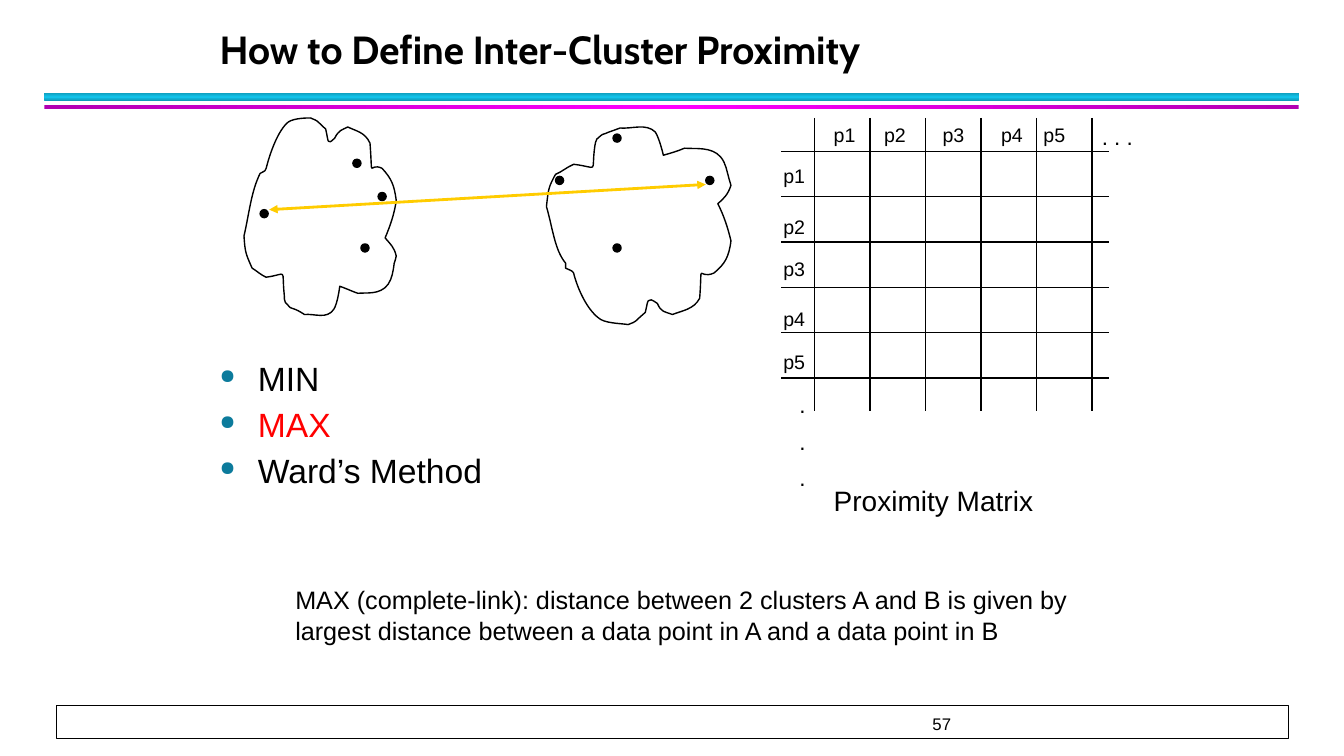
from dataclasses import dataclass

from lxml import etree
from pptx import Presentation
from pptx.dml.color import RGBColor
from pptx.enum.shapes import MSO_CONNECTOR as Connector, MSO_SHAPE as Shape
from pptx.enum.text import MSO_ANCHOR as Anchor
from pptx.oxml.ns import qn
from pptx.util import Pt

PX = 9144


@dataclass(frozen=True)
class Theme:
    """Colours, fonts and type sizes of the slide."""
    ink: str = "000000"
    paper: str = "FFFFFF"
    accent: str = "FF0000"
    arrow: str = "FFCC00"
    bullet: str = "0C7B9C"
    blue_band: tuple = ("0E9BBA", "12C2E9", "0E9BBA")
    pink_band: tuple = ("B200B2", "FF00FF", "B200B2")
    heading_font: str = "Cabin"
    body_font: str = "Arial"
    title: int = 28
    bullets: int = 24
    caption: int = 20
    note: int = 18
    dots: int = 16
    label: int = 14
    footer: int = 12


THEME = Theme()

LEFT_START = (16, 55)
LEFT_CURVES = (
    (7, 73, 5, 96, 0, 117), (1, 134, 2, 135, 8, 149), (13, 152, 17, 156, 22, 158),
    (44, 155, 37, 148, 40, 176), (40, 179, 40, 181, 41, 183), (48, 190, 43, 187, 51, 190),
    (54, 191, 60, 195, 60, 195), (70, 194, 82, 200, 89, 190), (93, 184, 95, 167, 95, 167),
    (101, 169, 107, 172, 113, 174), (121, 173, 135, 176, 143, 165), (147, 159, 148, 152, 149, 144),
    (150, 142, 151, 137, 151, 137), (149, 128, 145, 125, 140, 119), (145, 107, 149, 96, 151, 82),
    (149, 66, 146, 60, 137, 50), (123, 43, 128, 65, 125, 25), (120, 14, 111, 13, 103, 9),
    (97, 12, 94, 12, 90, 20), (82, 28, 84, 23, 81, 11), (70, 1, 75, 4, 66, 0),
    (63, 0, 50, 0, 44, 4), (34, 12, 26, 34, 22, 50), (21, 54, 18, 53, 16, 55),
)
LEFT_POINTS = ((116, 125), (108, 41), (16, 91), (133, 74))

RIGHT_START = (19, 144)
RIGHT_CURVES = (
    (8, 126, 6, 103, 0, 83), (2, 65, 2, 64, 9, 51), (16, 48, 20, 44, 27, 41),
    (53, 44, 44, 51, 48, 23), (48, 21, 49, 18, 50, 16), (58, 9, 53, 13, 62, 9),
    (65, 8, 73, 5, 73, 5), (85, 6, 99, 0, 108, 9), (112, 15, 116, 32, 116, 32),
    (123, 30, 130, 28, 137, 25), (147, 26, 164, 23, 173, 34), (178, 40, 179, 48, 181, 55),
    (182, 58, 183, 62, 183, 62), (180, 71, 176, 75, 170, 80), (176, 92, 180, 104, 183, 117),
    (181, 133, 177, 140, 166, 149), (149, 156, 155, 134, 152, 174), (146, 185, 135, 186, 125, 190),
    (117, 187, 114, 188, 110, 179), (99, 171, 101, 177, 98, 188), (85, 199, 91, 196, 81, 200),
    (76, 199, 61, 199, 54, 195), (41, 187, 31, 165, 27, 149), (26, 146, 22, 146, 19, 144),
)
RIGHT_POINTS = ((158, 58), (9, 58), (66, 125), (66, 16))


def rgb(color):
    """Turn a hex string into a colour."""
    return RGBColor.from_string(color)


def px(*lengths):
    """Turn pixel lengths into EMU."""
    return [length * PX for length in lengths]


def add_text(slide, box, lines, size, color=THEME.ink, font=THEME.body_font, bold=False):
    """Add a wrapped text box with one paragraph per line and return its frame."""
    frame = slide.shapes.add_textbox(*px(*box)).text_frame
    frame.word_wrap = True
    frame.text = "\n".join(lines)
    for paragraph in frame.paragraphs:
        paragraph.font.name = font
        paragraph.font.size = Pt(size)
        paragraph.font.bold = bold
        paragraph.font.color.rgb = rgb(color)
    return frame


def add_line(slide, start, end, color=THEME.ink, width=1):
    """Add a straight line without a shadow."""
    line = slide.shapes.add_connector(Connector.STRAIGHT, *px(*start, *end))
    line.line.color.rgb = rgb(color)
    line.line.width = Pt(width)
    etree.SubElement(line._element.spPr, qn("a:effectLst"))
    return line


def add_filled(slide, kind, box, fill):
    """Add a filled shape with a thin dark outline."""
    shape = slide.shapes.add_shape(kind, *px(*box))
    shape.shadow.inherit = False
    shape.fill.solid()
    shape.fill.fore_color.rgb = rgb(fill)
    shape.line.color.rgb = rgb(THEME.ink)
    shape.line.width = Pt(1)
    return shape


def add_band(slide, box, colors, angle):
    """Add a borderless bar with an evenly spaced gradient."""
    band = slide.shapes.add_shape(Shape.RECTANGLE, *px(*box))
    band.shadow.inherit = False
    band.line.fill.background()
    band.fill.gradient()
    gradient = band._element.spPr.find(qn("a:gradFill"))
    stops = gradient.find(qn("a:gsLst"))
    for stop in list(stops):
        stops.remove(stop)
    for index, color in enumerate(colors):
        position = 100000 * index // (len(colors) - 1)
        stop = etree.SubElement(stops, qn("a:gs"), pos=str(position))
        etree.SubElement(stop, qn("a:srgbClr"), val=color)
    gradient.find(qn("a:lin")).set("ang", str(angle * 60000))


def add_header(slide, left, top, width):
    """Place the title and the two bands below it."""
    frame = add_text(slide, (left + 164, top, 906, 60), ["How to Define Inter-Cluster Proximity"],
                     THEME.title, font=THEME.heading_font, bold=True)
    frame.vertical_anchor = Anchor.BOTTOM
    frame.paragraphs[0].line_spacing = Pt(36)
    add_band(slide, (left, top + 75, width, 8), THEME.blue_band, 90)
    add_band(slide, (left, top + 87, width, 4), THEME.pink_band, 0)


def add_cluster(slide, left, top, start, curves, data_points):
    """Place a cluster outline of cubic curves and its data points."""
    builder = slide.shapes.build_freeform(*px(*start), scale=1.0)
    builder.add_line_segments([px(*curve[4:]) for curve in curves], close=True)
    outline = builder.convert_to_shape(*px(left, top))
    segments = list(outline._element.iter(qn("a:lnTo")))
    for segment, curve in zip(segments, curves):
        cubic = etree.Element(qn("a:cubicBezTo"))
        for x, y in zip(px(*curve[::2]), px(*curve[1::2])):
            etree.SubElement(cubic, qn("a:pt"), x=str(x), y=str(y))
        segment.getparent().replace(segment, cubic)
    outline.shadow.inherit = False
    outline.fill.background()
    outline.line.color.rgb = rgb(THEME.ink)
    outline.line.width = Pt(1)
    for x, y in data_points:
        add_filled(slide, Shape.OVAL, (left + x, top + y, 8, 8), THEME.ink)


def add_clusters(slide, left, top):
    """Place both clusters and the arrow between their farthest points."""
    add_cluster(slide, left, top, LEFT_START, LEFT_CURVES, LEFT_POINTS)
    add_cluster(slide, left + 300, top, RIGHT_START, RIGHT_CURVES, RIGHT_POINTS)
    arrow = add_line(slide, (left + 25, top + 91), (left + 458, top + 66), THEME.arrow, 2)
    for end in ("a:headEnd", "a:tailEnd"):
        etree.SubElement(arrow.line._get_or_add_ln(), qn(end), type="triangle")


def add_matrix(slide, left, top):
    """Place the proximity matrix grid, its labels and its caption."""
    for index in range(6):
        x, y = left + 41 + 55 * index, top + 33 + 45 * index
        add_line(slide, (x, top), (x, top + 291))
        add_line(slide, (left + 8, y), (left + 333, y))
    offsets = zip((50, 100, 158, 216, 258), (41, 91, 133, 183, 225))
    for number, (x, y) in enumerate(offsets, 1):
        for place in ((left + x, top), (left, top + y)):
            add_text(slide, (*place, 58, 33), [f"p{number}"], THEME.label)
    add_text(slide, (left + 316, top, 58, 37), [". . ."], THEME.dots)
    dots = add_text(slide, (left + 16, top + 266, 58, 117), "...", THEME.dots)
    for paragraph in dots.paragraphs[1:]:
        paragraph.space_before = Pt(7)
    add_text(slide, (left + 50, top + 358, 275, 43), ["Proximity Matrix"], THEME.caption)


def add_methods(slide, left, top):
    """Place the bulleted methods and the definition below them."""
    frame = add_text(slide, (left, top, 633, 342), ["MIN", "MAX", "Ward’s Method"], THEME.bullets)
    for paragraph in frame.paragraphs:
        paragraph.space_before = paragraph.space_after = Pt(2)
        properties = paragraph._p.get_or_add_pPr()
        properties.set("marL", str(38 * PX))
        properties.set("indent", str(-38 * PX))
        color, size, mark = [etree.Element(qn(tag)) for tag in ("a:buClr", "a:buSzPct", "a:buChar")]
        etree.SubElement(color, qn("a:srgbClr"), val=THEME.bullet)
        size.set("val", "60000")
        mark.set("char", "●")
        properties.find(qn("a:spcAft")).addnext(color)
        color.addnext(size)
        size.addnext(mark)
    frame.paragraphs[1].font.color.rgb = rgb(THEME.accent)
    add_text(slide, (left + 75, top + 225, 792, 71),
             ["MAX (complete-link): distance between 2 clusters A and B is given by "
              "largest distance between a data point in A and a data point in B"], THEME.note)


def add_footer(slide, left, top, width, height):
    """Place the footer frame and the page number."""
    add_filled(slide, Shape.RECTANGLE, (left, top, width, height), THEME.paper)
    frame = add_text(slide, (left + 859, top, 60, height), ["57"], THEME.footer)
    frame.vertical_anchor = Anchor.BOTTOM


def main():
    """Build and save the slide."""
    presentation = Presentation()
    presentation.slide_width, presentation.slide_height = px(1333, 750)
    slide = presentation.slides.add_slide(presentation.slide_layouts[6])
    add_footer(slide, 56, 700, 1222, 33)
    add_header(slide, 44, 17, 1244)
    add_matrix(slide, 767, 117)
    add_clusters(slide, 242, 117)
    add_methods(slide, 208, 350)
    presentation.save("out.pptx")


if __name__ == "__main__":
    main()
